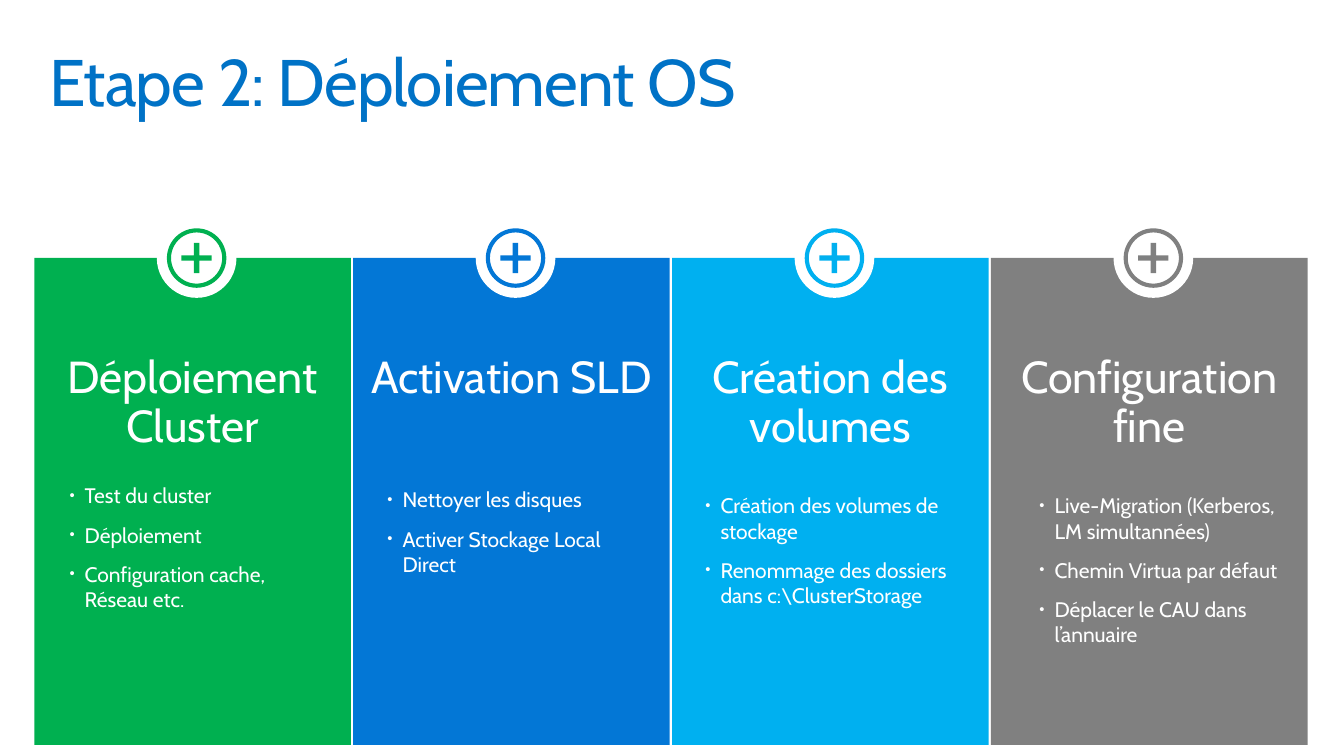
"""Build a slide of four deployment steps shown as coloured columns."""
from dataclasses import dataclass

from lxml import etree
from pptx import Presentation
from pptx import util as u
from pptx.dml.color import RGBColor
from pptx.enum import shapes, text
from pptx.oxml import ns


@dataclass(frozen=True)
class Theme:
    """Hold the colours, the font and the type sizes."""
    font: str = "Cabin"
    white: str = "FFFFFF"
    title: str = "0072C6"
    green: str = "00B050"
    blue: str = "0377D6"
    sky: str = "00B0F0"
    grey: str = "808080"
    title_size: float = 47
    head_size: float = 32
    list_size: float = 15


THEME = Theme()
LEFT, TOP, PITCH, WIDTH, HEIGHT = 0.34, 2.56, 3.163, 3.14, 4.83

STEPS = [
    (THEME.green, "Déploiement Cluster", (-0.13, 2.18),
     ["Test du cluster", "Déploiement", "Configuration cache, Réseau etc."]),
    (THEME.blue, "Activation SLD", (-0.14, 2.22),
     ["Nettoyer les disques", "Activer Stockage Local Direct"]),
    (THEME.sky, "Création des volumes", (-0.15, 2.28),
     ["Création des volumes de stockage",
      "Renommage des dossiers dans c:\\ClusterStorage"]),
    (THEME.grey, "Configuration fine", (0, 2.28),
     ["Live-Migration (Kerberos, LM simultannées)",
      "Chemin Virtua par défaut", "Déplacer le CAU dans l’annuaire"]),
]


def place(item, left, top, width, height):
    """Move an item to a box given in inches."""
    item.left, item.top = u.Inches(left), u.Inches(top)
    item.width, item.height = u.Inches(width), u.Inches(height)


def setup(frame, side, edge):
    """Give a text frame its margins, wrapping and top anchor."""
    frame.word_wrap = True
    frame.auto_size = text.MSO_AUTO_SIZE.NONE
    frame.vertical_anchor = text.MSO_ANCHOR.TOP
    frame.margin_left = frame.margin_right = u.Inches(side)
    frame.margin_top = frame.margin_bottom = u.Inches(edge)


def style(para, size, color):
    """Format the runs of a paragraph."""
    for run in para.runs:
        font = run.font
        font.name, font.size, font.bold = THEME.font, u.Pt(size), False
        font.color.rgb = RGBColor.from_string(color)


def draw(slide, kind, box, color):
    """Add a plain filled shape without outline."""
    shape = slide.shapes.add_shape(kind, *map(u.Inches, box))
    shape.shadow.inherit = False
    shape.fill.solid()
    shape.fill.fore_color.rgb = RGBColor.from_string(color)
    shape.line.fill.background()
    return shape


def add_title(slide, words, box):
    """Fill the title placeholder."""
    title = slide.shapes.title
    place(title, *box)
    setup(title.text_frame, 0.1, 0.1)
    title.text_frame.text = words
    para = title.text_frame.paragraphs[0]
    para.alignment = text.PP_ALIGN.LEFT
    para.line_spacing = 0.9
    style(para, THEME.title_size, THEME.title)
    para.runs[0].font._element.set("spc", "-70")


def add_badge(slide, x, y, color):
    """Draw a ringed plus sign on a white disc centred on a point."""
    kind = shapes.MSO_SHAPE
    parts = [(kind.OVAL, 0.79, THEME.white, None),
             (kind.DONUT, 0.59, color, 0.07),
             (kind.CROSS, 0.3, color, 0.41)]
    for form, size, fill, ratio in parts:
        box = (x - size / 2, y - size / 2, size, size)
        shape = draw(slide, form, box, fill)
        if ratio:
            shape.adjustments[0] = ratio


def add_head(slide, words, box):
    """Add the centred heading of a column."""
    frame = slide.shapes.add_textbox(*map(u.Inches, box)).text_frame
    setup(frame, 0, 0.05)
    frame.text = words
    para = frame.paragraphs[0]
    para.alignment = text.PP_ALIGN.CENTER
    para.line_spacing = u.Pt(34.4)
    style(para, THEME.head_size, THEME.white)


def add_bullet(para):
    """Give a paragraph a small hanging bullet."""
    props = para._p.get_or_add_pPr()
    props.set("marL", str(u.Inches(0.53)))
    props.set("indent", str(u.Inches(-0.15)))
    for tag, key, value in (("a:buSzPct", "val", "70000"),
                            ("a:buFont", "typeface", "Arial"),
                            ("a:buChar", "char", "•")):
        etree.SubElement(props, ns.qn(tag)).set(key, value)


def add_list(holder, items, box):
    """Fill a body placeholder with bullets and bring it to the front."""
    holder.element.getparent().append(holder.element)
    place(holder, *box)
    frame = holder.text_frame
    setup(frame, 0.1, 0.05)
    frame.text = "\n".join(items)
    for para in frame.paragraphs:
        add_bullet(para)
        para.alignment = text.PP_ALIGN.LEFT
        para.line_spacing = 1.0
        para.space_before, para.space_after = u.Pt(0), u.Pt(10)
        style(para, THEME.list_size, THEME.white)


def add_step(slide, holder, step, box):
    """Build one column with its badge, heading and list."""
    color, head, (dx, dy), items = step
    left, top, width, height = box
    draw(slide, shapes.MSO_SHAPE.RECTANGLE, box, color)
    add_head(slide, head, (left, top + 0.91, width, 1.05))
    add_badge(slide, left + 1.61, top, color)
    add_list(holder, items, (left + dx, top + dy, 3.01, 2.15))


def main():
    """Build and save the deck."""
    deck = Presentation()
    deck.slide_width, deck.slide_height = u.Inches(13.33), u.Inches(7.5)
    slide = deck.slides.add_slide(deck.slide_layouts.get_by_name("Comparison"))
    add_title(slide, "Etape 2: Déploiement OS", (0.39, 0.39, 12.55, 0.88))
    holders = list(slide.placeholders)[1:]
    for i, (holder, step) in enumerate(zip(holders, STEPS)):
        add_step(slide, holder, step, (LEFT + i * PITCH, TOP, WIDTH, HEIGHT))
    deck.save("out.pptx")


if __name__ == "__main__":
    main()
